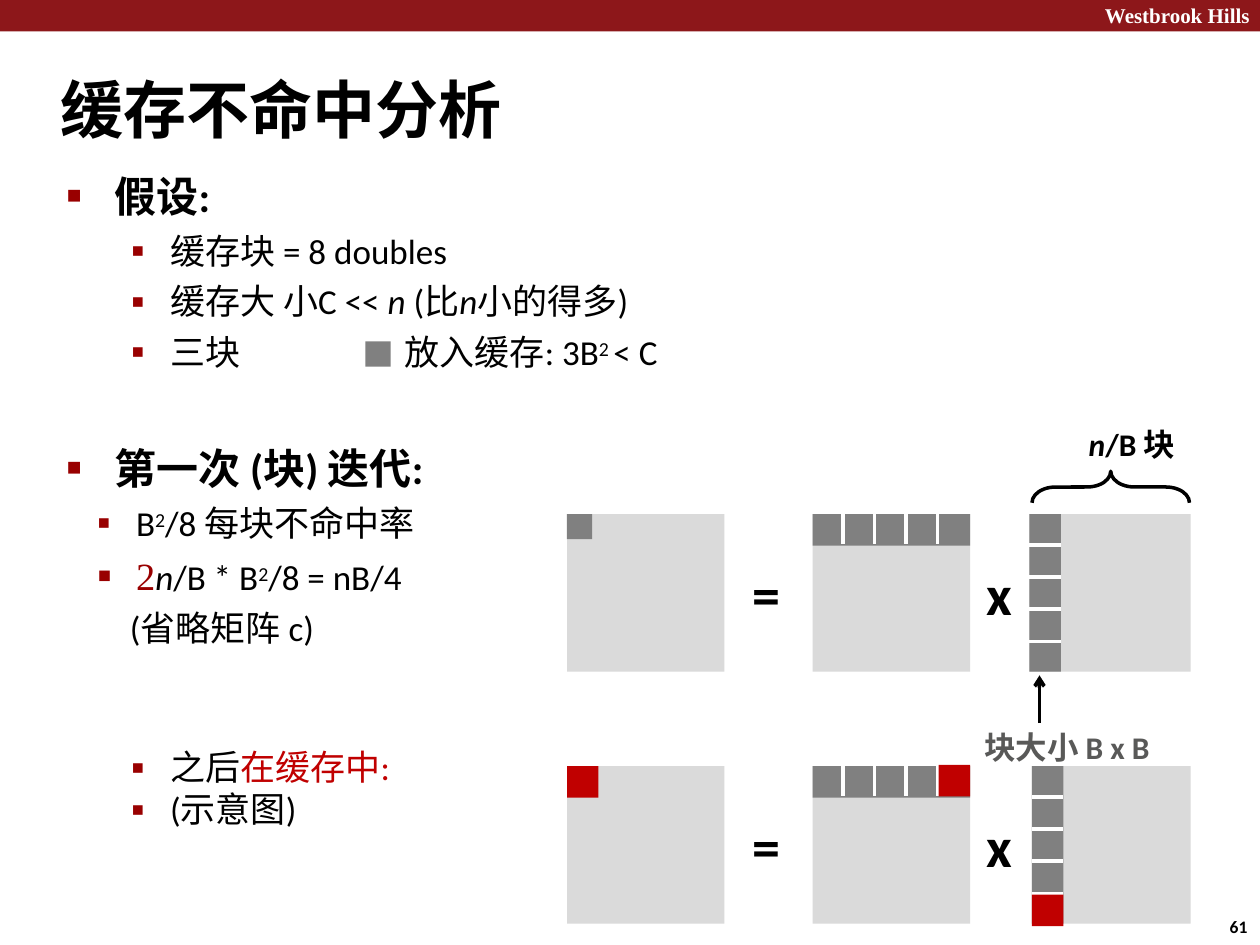
from dataclasses import dataclass

from lxml import etree
from pptx import Presentation
from pptx.dml.color import RGBColor
from pptx.enum.shapes import MSO_CONNECTOR, MSO_SHAPE
from pptx.enum.text import MSO_ANCHOR, MSO_AUTO_SIZE, PP_ALIGN
from pptx.oxml.ns import qn
from pptx.util import Inches, Pt

RECT, BRACE = MSO_SHAPE.RECTANGLE, MSO_SHAPE.LEFT_BRACE
STRAIGHT = MSO_CONNECTOR.STRAIGHT
TOP, NO_FIT = MSO_ANCHOR.TOP, MSO_AUTO_SIZE.NONE
LEFT, RIGHT = PP_ALIGN.LEFT, PP_ALIGN.RIGHT


@dataclass(frozen=True)
class Theme:
    font: str = "Calibri"
    serif: str = "Times New Roman"
    bullet_font: str = "Arial"
    ink: str = "000000"
    white: str = "FFFFFF"
    banner: str = "8D171A"
    bullet: str = "990000"
    red: str = "C00000"
    block: str = "808080"
    matrix: str = "DADADA"
    caption: str = "595958"
    title: float = 36
    operator: float = 32
    heading: float = 24
    item: float = 20
    accent: float = 22
    sup: float = 19.5
    label: float = 18
    brand: float = 12
    page: float = 10
    line: float = 2


@dataclass(frozen=True)
class Bullet:
    char: str
    percent: int
    margin: float
    hang: float


T = Theme()
HEADING = Bullet("■", 58, 0.39, 0.38)
SUB = Bullet("▪", 110, 0.83, 0.31)
ITEM = Bullet("▪", 110, 0.33, 0.31)
SUP = {"size": T.sup, "sup": True}
ITALIC = {"italic": True}


class SlideBuilder:
    SIDE, CELL, STEP, CELLS = 1.25, 0.25, 0.255, 5

    def __init__(self, prs, theme):
        self.t = theme
        self.s = prs.slides.add_slide(prs.slide_layouts[1])

    def frame(self, sp, x, y, w, h):
        """Place a text shape and return its frame without margins or autofit."""
        sp.left, sp.top, sp.width, sp.height = map(Inches, (x, y, w, h))
        tf = sp.text_frame
        tf.margin_left = tf.margin_right = tf.margin_top = tf.margin_bottom = 0
        tf.word_wrap, tf.auto_size, tf.vertical_anchor = True, NO_FIT, TOP
        return tf

    def text_box(self, x, y, w, h):
        return self.frame(self.s.shapes.add_textbox(0, 0, 0, 0), x, y, w, h)

    def run(self, p, text, size, color=None, bold=False, italic=False, font=None, sup=False):
        r = p.add_run()
        r.text = text
        f = r.font
        f.size, f.bold, f.italic = Pt(size), bold, italic
        f.name = font or self.t.font
        f.color.rgb = RGBColor.from_string(color or self.t.ink)
        if sup:
            r._r.get_or_add_rPr().set("baseline", "26000")

    def paragraph(self, tf, runs, bullet=None, before=0, level=0, align=LEFT,
                  margin=0, tab=None, **style):
        """Add a paragraph; a run is a string or (string, style overrides)."""
        p = tf.paragraphs[0]
        if p.runs:
            p = tf.add_paragraph()
        p.level, p.alignment, p.space_before = level, align, Pt(before)
        pPr = p._p.get_or_add_pPr()
        hang = bullet.hang if bullet else 0
        pPr.set("marL", str(Inches(bullet.margin if bullet else margin)))
        pPr.set("indent", str(-Inches(hang)))
        if bullet:
            clr = etree.SubElement(pPr, qn("a:buClr"))
            etree.SubElement(clr, qn("a:srgbClr"), val=self.t.bullet)
            etree.SubElement(pPr, qn("a:buSzPct"), val=str(bullet.percent * 1000))
            etree.SubElement(pPr, qn("a:buFont"), typeface=self.t.bullet_font)
            etree.SubElement(pPr, qn("a:buChar"), char=bullet.char)
        else:
            etree.SubElement(pPr, qn("a:buNone"))
        if tab:
            tabs = etree.SubElement(pPr, qn("a:tabLst"))
            etree.SubElement(tabs, qn("a:tab"), pos=str(Inches(tab)), algn="l")
        for item in runs:
            text, extra = (item, {}) if isinstance(item, str) else item
            self.run(p, text, **{"size": self.t.item, **style, **extra})
        return p

    def label(self, x, y, w, h, runs, size, **style):
        return self.paragraph(self.text_box(x, y, w, h), runs, size=size, bold=True, **style)

    def rect(self, x, y, w, h, color):
        sp = self.s.shapes.add_shape(RECT, *map(Inches, (x, y, w, h)))
        sp.shadow.inherit = False
        sp.fill.solid()
        sp.fill.fore_color.rgb = RGBColor.from_string(color)
        sp.line.fill.background()

    def line(self, x1, y1, x2, y2, color, arrow=False):
        c = self.s.shapes.add_connector(STRAIGHT, *map(Inches, (x1, y1, x2, y2)))
        c.line.color.rgb = RGBColor.from_string(color)
        c.line.width = Pt(self.t.line)
        etree.SubElement(c._element.spPr, qn("a:effectLst"))
        if arrow:
            etree.SubElement(c.line._get_or_add_ln(), qn("a:tailEnd"), type="arrow")

    def brace(self, x, y, w, h):
        """Draw a brace that spans w and points up, as a turned left brace."""
        sp = self.s.shapes.add_shape(
            BRACE, *map(Inches, (x + (w - h) / 2, y + (h - w) / 2, h, w)))
        sp.rotation = 90
        sp.adjustments[0] = 0.75
        sp.shadow.inherit = False
        sp.fill.background()
        sp.line.color.rgb = RGBColor.from_string(self.t.ink)
        sp.line.width = Pt(self.t.line)

    def product(self, top, column_x, result_cell, last_color=None):
        """Draw result = block row x block column; last_color marks the last blocks."""
        t, side, cell, step = self.t, self.SIDE, self.CELL, self.STEP
        result_x, row_x, right = 4.5, 6.45, 9.45
        self.rect(result_x, top, side, side, t.matrix)
        self.rect(row_x, top, side, side, t.matrix)
        self.rect(column_x, top, right - column_x, side, t.matrix)
        self.label(5.97, top + 0.36, 0.3, 0.57, ["="], t.operator)
        self.label(7.83, top + 0.36, 0.3, 0.57, ["x"], t.operator)
        self.rect(result_x, top, result_cell, result_cell, last_color or t.block)
        self.rect(row_x, top, side, cell, t.block)
        self.rect(column_x, top, cell, side, t.block)
        for i in range(1, self.CELLS):
            x, y = row_x + i * cell - 0.01, top + i * step - 0.01
            self.line(x, top - 0.01, x, top + cell - 0.01, t.white)
            self.line(column_x, y, column_x + cell, y, t.white)
        if last_color:
            last = self.CELLS - 1
            self.rect(row_x + last * cell, top - 0.01, cell, cell, last_color)
            self.rect(column_x, top + last * step, cell, cell, last_color)


def main():
    prs = Presentation()
    prs.slide_width, prs.slide_height = Inches(10), Inches(7.5)
    b = SlideBuilder(prs, T)
    title, body = b.s.placeholders

    b.rect(0, 0, 10, 0.25, T.banner)
    b.label(7.92, 0.02, 2, 0.22, ["Westbrook Hills"], T.brand,
            color=T.white, font=T.serif, align=RIGHT)
    b.paragraph(b.frame(title, 0.48, 0.56, 4.16, 0.6), ["缓存不命中分析"],
                size=T.title, bold=True)

    tf = b.frame(body, 0.52, 1.35, 5.31, 1.62)
    b.paragraph(tf, ["假设:"], HEADING, size=T.heading, bold=True)
    b.paragraph(tf, ["缓存块 = 8 doubles"], SUB, before=5, level=1)
    b.paragraph(tf, ["缓存大 小C << ", ("n ", ITALIC), "(比", ("n", ITALIC), "小的得多)"],
                SUB, before=4.8, level=1)
    b.paragraph(tf, ["三块\t放入缓存: 3B", ("2 ", SUP), "< C"],
                SUB, before=4.8, level=1, tab=2.69)
    b.rect(2.9, 2.71, 0.2, 0.2, T.block)

    tf = b.text_box(0.52, 3.51, 4.18, 0.4)
    b.paragraph(tf, ["第一次 (块) 迭代:"], HEADING, size=T.heading, bold=True)
    tf = b.text_box(0.75, 3.98, 3.39, 1.18)
    b.paragraph(tf, ["B", ("2", SUP), "/8 每块不命中率"], ITEM)
    two = {"size": T.accent, "font": T.serif, "color": T.bullet}
    b.paragraph(tf, [("2", two), ("n", ITALIC), "/B * B", ("2", SUP), "/8 = nB/4"],
                ITEM, before=4.8)
    b.paragraph(tf, ["(省略矩阵 c)"], before=4.8, margin=0.28)

    tf = b.text_box(1.02, 5.92, 2.59, 0.7)
    b.paragraph(tf, ["之后", ("在缓存中:", {"color": T.red})], ITEM)
    b.paragraph(tf, ["(示意图)"], ITEM)

    b.product(4.08, 8.17, result_cell=0.2)
    b.product(6.08, 8.19, result_cell=0.25, last_color=T.red)
    b.brace(8.19, 3.74, 1.25, 0.25)
    b.label(8.64, 3.37, 1.12, 0.3, [("n", ITALIC), "/B 块"], T.label)
    b.line(8.25, 5.74, 8.25, 5.36, T.ink, arrow=True)
    b.label(7.81, 5.78, 1.59, 0.3, ["块大小 B x B"], T.label, color=T.caption)
    page = b.label(9.73, 7.29, 0.25, 0.17, ["61"], T.page, margin=0.03)
    page.line_spacing = Pt(10.4)

    prs.save("out.pptx")


if __name__ == "__main__":
    main()
